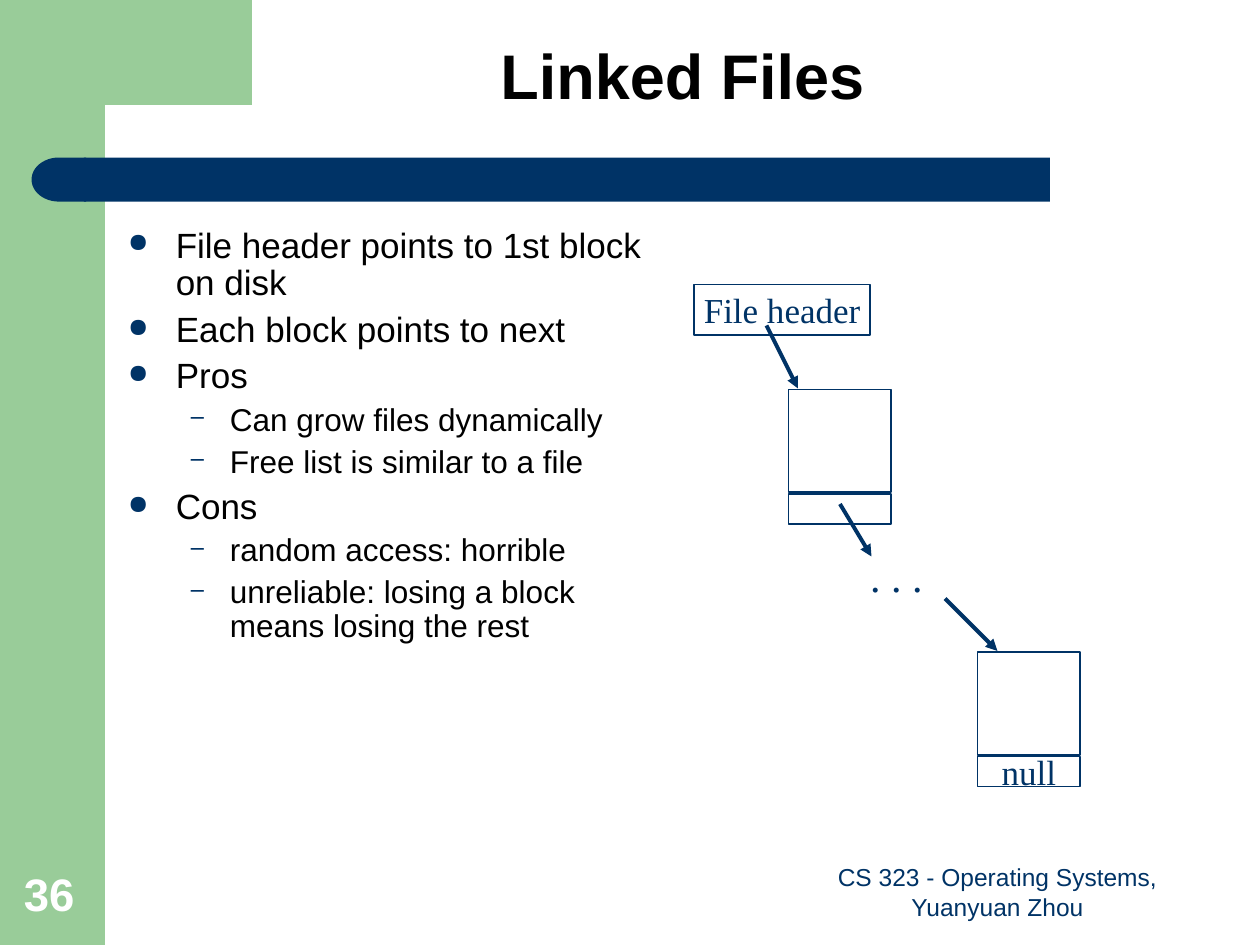
from dataclasses import dataclass

from lxml import etree
from pptx import Presentation
from pptx import util as u
from pptx.dml.color import RGBColor
from pptx.enum import shapes as sh, text as tx
from pptx.oxml.ns import qn

UNIT = u.Inches(10) // 120  # the slide is a grid of 120 columns by 90 rows


@dataclass(frozen=True)
class Theme:
    green: str = "99CC99"
    navy: str = "003366"
    black: str = "000000"
    white: str = "FFFFFF"
    sans: str = "Arial"
    serif: str = "Times New Roman"
    title: int = 36
    number: int = 26
    dots: int = 24
    body: int = 20
    sub: int = 18
    footer: int = 14
    outline: float = 1
    arrow: float = 2.25


@dataclass(frozen=True)
class Box:
    x: float
    y: float
    w: float
    h: float

    def inner(self, x, y, w, h):
        return Box(self.x + x, self.y + y, w, h)

    def emu(self):
        return [round(v * UNIT) for v in (self.x, self.y, self.w, self.h)]


THEME = Theme()
CENTER = tx.PP_ALIGN.CENTER
MIDDLE, BOTTOM = tx.MSO_ANCHOR.MIDDLE, tx.MSO_ANCHOR.BOTTOM
POINTS = [
    (0, "File header points to 1st block on disk"),
    (0, "Each block points to next"),
    (0, "Pros"),
    (1, "Can grow files dynamically"),
    (1, "Free list is similar to a file"),
    (0, "Cons"),
    (1, "random access: horrible"),
    (1, "unreliable: losing a block means losing the rest"),
]
# per level: type size, space before, indent in inches, bullet
LEVELS = [(THEME.body, 5, 0.38, 0.38, "●"), (THEME.sub, 4.5, 0.81, 0.31, "–")]


def rgb(color):
    return RGBColor.from_string(color)


def set_all(target, values):
    for name, value in values.items():
        setattr(target, name, value)


def paint(shape, color):
    shape.shadow.inherit = False
    shape.fill.solid()
    shape.fill.fore_color.rgb = rgb(color)
    shape.line.fill.background()


def write(paragraph, words, size, color, face=THEME.sans, bold=False, **layout):
    set_all(paragraph, layout)
    run = paragraph.add_run()
    run.text = words
    set_all(run.font, {"name": face, "size": u.Pt(size), "bold": bold})
    run.font.color.rgb = rgb(color)


def text_area(slide, box, anchor=tx.MSO_ANCHOR.TOP, wrap=True):
    frame = slide.shapes.add_textbox(*box.emu()).text_frame
    set_all(frame, {"word_wrap": wrap, "vertical_anchor": anchor})
    return frame


def outlined(slide, box, label=None):
    cell = slide.shapes.add_shape(sh.MSO_SHAPE.RECTANGLE, *box.emu())
    cell.shadow.inherit = False
    cell.fill.background()
    cell.line.color.rgb = rgb(THEME.navy)
    cell.line.width = u.Pt(THEME.outline)
    if label:
        set_all(cell.text_frame, {"word_wrap": False, "vertical_anchor": MIDDLE})
        write(cell.text_frame.paragraphs[0], label, THEME.body, THEME.navy,
              THEME.serif, alignment=CENTER)


def arrow(slide, box):
    """Point from the box's top left to its bottom right corner."""
    x, y, w, h = box.emu()
    link = slide.shapes.add_connector(sh.MSO_CONNECTOR.STRAIGHT, x, y, x + w, y + h)
    link.line.color.rgb = rgb(THEME.navy)
    link.line.width = u.Pt(THEME.arrow)
    props = link._element.spPr
    etree.SubElement(props.find(qn("a:ln")), qn("a:tailEnd"), type="triangle")
    etree.SubElement(props, qn("a:effectLst"))


def bullet(paragraph, left, hang, mark):
    props = paragraph._p.get_or_add_pPr()
    props.set("marL", str(u.Inches(left)))
    props.set("indent", str(-u.Inches(hang)))
    color = etree.SubElement(props, qn("a:buClr"))
    etree.SubElement(color, qn("a:srgbClr"), val=THEME.navy)
    etree.SubElement(props, qn("a:buSzPct"), val="75000")
    etree.SubElement(props, qn("a:buChar"), char=mark)


def decoration(slide, box):
    rail = box.inner(0, 0, 10, box.h)
    paint(slide.shapes.add_shape(sh.MSO_SHAPE.RECTANGLE, *rail.emu()), THEME.green)

    outline = [(6, 0), (24, 0), (24, 10), (10, 10), (9.2, 10.2), (8.5, 11),
               (8.15, 12.5), (8, 14), (8, 15.4), (6, 15.4)]
    corner = [box.inner(x, y, 0, 0).emu()[:2] for x, y in outline]
    builder = slide.shapes.build_freeform(*corner[0])
    builder.add_line_segments(corner[1:], close=True)
    paint(builder.convert_to_shape(), THEME.green)

    band = box.inner(8, 15, 92, 4.2)
    paint(slide.shapes.add_shape(sh.MSO_SHAPE.RECTANGLE, *band.emu()), THEME.navy)
    cap = slide.shapes.add_shape(sh.MSO_SHAPE.FLOWCHART_DELAY,
                                 *box.inner(3, 15, 5.2, 4.2).emu())
    cap.rotation = 180
    paint(cap, THEME.navy)


def title(slide, box):
    write(text_area(slide, box, MIDDLE).paragraphs[0], "Linked Files", THEME.title,
          THEME.black, bold=True, alignment=CENTER, line_spacing=0.9)


def points(slide, box):
    frame = text_area(slide, box)
    for i, (level, words) in enumerate(POINTS):
        paragraph = frame.add_paragraph() if i else frame.paragraphs[0]
        size, before, left, hang, mark = LEVELS[level]
        write(paragraph, words, size, THEME.black, level=level,
              line_spacing=0.9, space_before=u.Pt(before))
        bullet(paragraph, left, hang, mark)


def disk_block(slide, box, pointer=None):
    """A square of data above a slot for the pointer to the next block."""
    outlined(slide, box.inner(0, 0, box.w, box.w))
    slot_top = box.w + 0.15
    outlined(slide, box.inner(0, slot_top, box.w, box.h - slot_top), pointer)


def linked_list(slide, box):
    outlined(slide, box.inner(0, 0, 16.8, 4.8), "File header")
    arrow(slide, box.inner(6.9, 3.9, 3, 6))
    disk_block(slide, box.inner(9, 10, 9.8, 12.8))
    disk_block(slide, box.inner(27, 35, 9.8, 12.8), "null")
    arrow(slide, box.inner(13.9, 20.9, 3, 5))
    arrow(slide, box.inner(23.9, 29.9, 5, 5))
    dots = text_area(slide, box.inner(15.6, 24.7, 7.4, 6), wrap=False)
    write(dots.paragraphs[0], ". . .", THEME.dots, THEME.navy, THEME.serif)


def footer(slide, box):
    course = text_area(slide, box.inner(76, 0, 38, box.h), BOTTOM)
    write(course.paragraphs[0], "CS 323 - Operating Systems, Yuanyuan Zhou",
          THEME.footer, THEME.navy, alignment=CENTER)
    number = text_area(slide, box.inner(1.1, 0, 7.7, box.h), BOTTOM)
    write(number.paragraphs[0], "36", THEME.number, THEME.white, bold=True)


def main():
    deck = Presentation()
    set_all(deck, {"slide_width": 120 * UNIT, "slide_height": 90 * UNIT})
    slide = deck.slides.add_slide(deck.slide_layouts[6])
    decoration(slide, Box(0, 0, 120, 90))
    title(slide, Box(13, 0, 104, 15))
    points(slide, Box(11, 21.1, 52.4, 57.7))
    linked_list(slide, Box(66.1, 27.1, 36.8, 47.8))
    footer(slide, Box(0, 82, 120, 6.3))
    deck.save("out.pptx")


if __name__ == "__main__":
    main()
